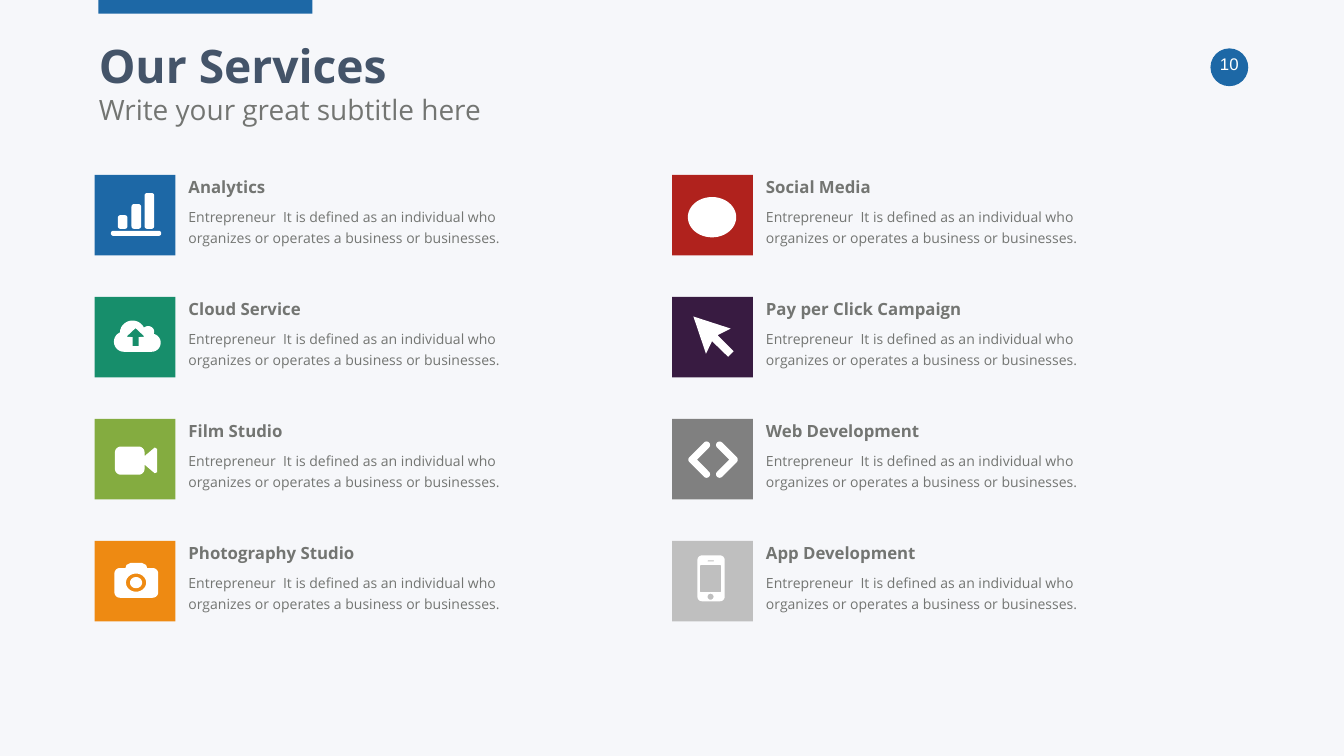
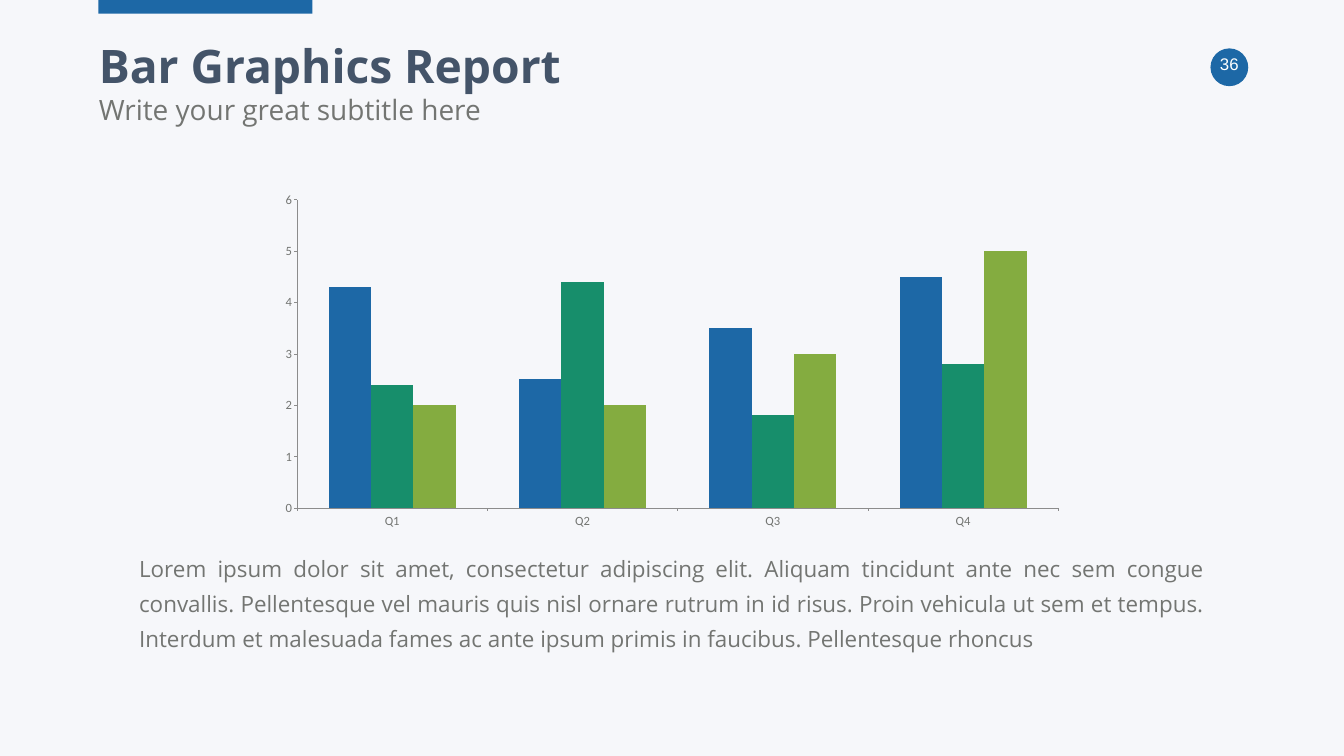
from math import cos, radians, sin

from lxml import etree
from pptx import Presentation
from pptx.chart.data import CategoryChartData
from pptx.dml.color import RGBColor
from pptx.enum.chart import XL_CHART_TYPE, XL_TICK_MARK
from pptx.enum.shapes import MSO_SHAPE
from pptx.enum.text import MSO_ANCHOR, MSO_AUTO_SIZE, PP_ALIGN
from pptx.util import Inches, Pt

COLUMN_CLUSTERED = XL_CHART_TYPE.COLUMN_CLUSTERED
TICK_OUTSIDE, TICK_NONE = XL_TICK_MARK.OUTSIDE, XL_TICK_MARK.NONE
RECTANGLE, OVAL = MSO_SHAPE.RECTANGLE, MSO_SHAPE.OVAL
TOP, MIDDLE = MSO_ANCHOR.TOP, MSO_ANCHOR.MIDDLE
NO_AUTOFIT = MSO_AUTO_SIZE.NONE
LEFT, CENTER, JUSTIFY = PP_ALIGN.LEFT, PP_ALIGN.CENTER, PP_ALIGN.JUSTIFY

PAPER = RGBColor(0xF6, 0xF7, 0xFA)
WHITE = RGBColor(0xFF, 0xFF, 0xFF)
NAVY = RGBColor(0x44, 0x54, 0x69)
TEXT_GRAY = RGBColor(0x73, 0x75, 0x72)
AXIS_GRAY = RGBColor(0x8C, 0x8C, 0x8C)
BLUE = RGBColor(0x1D, 0x68, 0xA6)
TEAL = RGBColor(0x17, 0x8E, 0x6B)
GREEN = RGBColor(0x84, 0xAC, 0x40)
ORANGE = RGBColor(0xEE, 0x8A, 0x12)
RED = RGBColor(0xB0, 0x22, 0x1D)
PURPLE = RGBColor(0x38, 0x1B, 0x41)
GRAY = RGBColor(0x80, 0x80, 0x80)
SILVER = RGBColor(0xBF, 0xBF, 0xBF)

FONT = "Open Sans"
SUBTITLE = "Write your great subtitle here"
SERVICE_TEXT = (
    "Entrepreneur  It is defined as an individual who "
    "organizes or operates a business or businesses."
)
REPORT_TEXT = (
    "Lorem ipsum dolor sit amet, consectetur adipiscing elit. Aliquam tincidunt "
    "ante nec sem congue convallis. Pellentesque vel mauris quis nisl ornare rutrum "
    "in id risus. Proin vehicula ut sem et tempus. Interdum et malesuada fames ac "
    "ante ipsum primis in faucibus. Pellentesque rhoncus"
)

TILE = 1.6
FIRST_TOP, ROW_PITCH = 3.47, 2.42
COLUMN_LEFTS = (1.88, 13.34)
TEXT_OFFSET = 1.78


def arc(x, y, radius_x, radius_y, start, end, steps=12):
    angles = [radians(start + (end - start) * i / steps) for i in range(steps + 1)]
    return [(x + radius_x * cos(a), y + radius_y * sin(a)) for a in angles]


def ellipse(x, y, radius_x, radius_y):
    return arc(x, y, radius_x, radius_y, 0, 360, 48)


def round_box(x, y, width, height, radius):
    near_x, far_x = x + radius, x + width - radius
    near_y, far_y = y + radius, y + height - radius
    corners = ((near_x, near_y), (far_x, near_y), (far_x, far_y), (near_x, far_y))
    points = []
    for i, (corner_x, corner_y) in enumerate(corners):
        start = 180 + 90 * i
        points += arc(corner_x, corner_y, radius, radius, start, start + 90, 6)
    return points


def bars_icon():
    bars = ((0.46, 0.8), (0.73, 0.58), (0.99, 0.36))
    base = round_box(0.32, 1.11, 1, 0.1, 0.05)
    return [base] + [round_box(x, y, 0.19, 1.07 - y, 0.05) for x, y in bars]


def cloud_icon():
    cloud = (
        arc(0.58, 0.89, 0.2, 0.2, 90, 245)
        + arc(0.75, 0.71, 0.25, 0.24, 180, 335)
        + arc(1.06, 0.69, 0.12, 0.11, 230, 385)
        + arc(1.13, 0.91, 0.18, 0.18, 285, 450)
    )
    arrow = [(0.81, 0.62), (0.99, 0.79), (0.87, 0.8), (0.87, 0.98),
             (0.75, 0.98), (0.75, 0.8), (0.63, 0.79)]
    return [cloud, arrow]


def video_icon():
    lens = [(0.99, 0.74), (1.19, 0.57), (1.24, 0.6),
            (1.24, 1.06), (1.19, 1.08), (0.99, 0.91)]
    return [round_box(0.4, 0.55, 0.59, 0.56, 0.12), lens]


def camera_icon():
    hump = [(0.61, 0.54), (0.63, 0.48), (0.71, 0.44),
            (0.94, 0.44), (1.02, 0.48), (1.04, 0.54)]
    return [
        round_box(0.39, 0.54, 0.87, 0.59, 0.11),
        hump,
        ellipse(0.82, 0.83, 0.2, 0.18),
        ellipse(0.82, 0.83, 0.12, 0.11),
    ]


def social_icon():
    return [ellipse(0.79, 0.84, 0.48, 0.4)]


def pointer_icon():
    return [[(1.22, 1.08), (0.9, 0.76), (1.16, 0.63), (0.42, 0.39),
             (0.67, 1.13), (0.79, 0.88), (1.11, 1.19)]]


def code_icon():
    right = (
        arc(0.94, 0.52, 0.07, 0.07, 135, 315)
        + arc(1.23, 0.81, 0.07, 0.07, -45, 45)
        + arc(0.94, 1.1, 0.07, 0.07, 45, 225)
        + [(1.13, 0.81)]
    )
    left = [(2 * 0.81 - x, y) for x, y in right]
    return [right, left]


def phone_icon():
    return [
        round_box(0.5, 0.29, 0.54, 0.91, 0.09),
        round_box(0.55, 0.48, 0.42, 0.54, 0.02),
        round_box(0.7, 0.39, 0.13, 0.02, 0.01),
        ellipse(0.76, 1.11, 0.06, 0.06),
    ]


SERVICES = (
    ("Analytics", BLUE, bars_icon),
    ("Cloud Service", TEAL, cloud_icon),
    ("Film Studio", GREEN, video_icon),
    ("Photography Studio", ORANGE, camera_icon),
    ("Social Media", RED, social_icon),
    ("Pay per Click Campaign", PURPLE, pointer_icon),
    ("Web Development", GRAY, code_icon),
    ("App Development", SILVER, phone_icon),
)


def paint(shape, colour):
    shape.shadow.inherit = False
    shape.fill.solid()
    shape.fill.fore_color.rgb = colour
    shape.line.fill.background()


def add_block(page, kind, left, top, width, height, colour):
    block = page.shapes.add_shape(
        kind, Inches(left), Inches(top), Inches(width), Inches(height))
    paint(block, colour)


def add_icon(page, left, top, outlines):
    placed = [[(Inches(left + x), Inches(top + y)) for x, y in outline]
              for outline in outlines]
    builder = page.shapes.build_freeform(*placed[0][0])
    builder.add_line_segments(placed[0][1:])
    for outline in placed[1:]:
        builder.move_to(*outline[0])
        builder.add_line_segments(outline[1:])
    paint(builder.convert_to_shape(), WHITE)


def write(box, text, size, colour=TEXT_GRAY, bold=False, font=FONT, align=LEFT,
          spacing=1.0, anchor=TOP, insets=(0.08, 0)):
    frame = box.text_frame
    frame.text = text
    frame.word_wrap = True
    frame.auto_size = NO_AUTOFIT
    frame.vertical_anchor = anchor
    frame.margin_left = frame.margin_right = Inches(insets[0])
    frame.margin_top = frame.margin_bottom = Inches(insets[1])
    para = frame.paragraphs[0]
    para.alignment = align
    para.line_spacing = spacing
    para.space_before = Pt(0)
    span = para.runs[0]
    span.font.name = font
    span.font.size = Pt(size)
    span.font.bold = bold
    span.font.color.rgb = colour


def place(box, left, top, width, height):
    box.left, box.top = Inches(left), Inches(top)
    box.width, box.height = Inches(width), Inches(height)


def add_text(page, left, top, width, height, text, size, **style):
    box = page.shapes.add_textbox(
        Inches(left), Inches(top), Inches(width), Inches(height))
    write(box, text, size, **style)


def add_page(deck, title, number):
    page = deck.slides.add_slide(deck.slide_layouts[0])
    heading, subtitle = page.shapes.title, page.placeholders[1]
    place(heading, 1.88, 0.74, 22.9, 1.24)
    write(heading, title, 66, colour=NAVY, bold=True)
    place(subtitle, 1.88, 1.84, 22.9, 0.93)
    write(subtitle, SUBTITLE, 40)
    add_block(page, OVAL, 24.02, 0.96, 0.75, 0.75, BLUE)
    add_text(page, 23.81, 1.02, 1.17, 0.8, str(number), 24, colour=WHITE,
             font="Arial", align=CENTER, insets=(0.1, 0.05))
    add_block(page, RECTANGLE, 1.95, 0, 4.25, 0.27, BLUE)
    return page


def add_service(page, left, top, name, colour, icon):
    add_block(page, RECTANGLE, left, top, TILE, TILE, colour)
    text_left = left + TEXT_OFFSET
    add_text(page, text_left, top + 0.56, 6.84, 0.94, SERVICE_TEXT, 20, spacing=1.3)
    add_text(page, text_left, top - 0.08, 6.84, 0.62, name, 24, bold=True, spacing=1.3)
    add_icon(page, left, top, icon())


def style_axis(axis, tick):
    axis.has_major_gridlines = False
    axis.major_tick_mark = tick
    axis.minor_tick_mark = TICK_NONE
    axis.format.line.color.rgb = AXIS_GRAY
    axis.format.line.width = Pt(0.75)


def add_quarter_chart(page):
    data = CategoryChartData()
    data.categories = ["Q1", "Q2", "Q3", "Q4"]
    data.add_series("Series 1", (4.3, 2.5, 3.5, 4.5))
    data.add_series("Series 2", (2.4, 4.4, 1.8, 2.8))
    data.add_series("Series 3", (2, 2, 3, 5))
    chart = page.shapes.add_chart(
        COLUMN_CLUSTERED, Inches(5.35), Inches(3.67),
        Inches(15.97), Inches(6.95), data).chart
    chart.has_legend = False
    chart.has_title = False
    chart.font.name = "Calibri"
    chart.font.size = Pt(18)
    chart.font.color.rgb = TEXT_GRAY
    style_axis(chart.category_axis, TICK_OUTSIDE)
    style_axis(chart.value_axis, TICK_OUTSIDE)
    chart.value_axis.minimum_scale = 0
    chart.value_axis.maximum_scale = 6
    chart.value_axis.major_unit = 1
    plot = chart.plots[0]
    plot.gap_width = 150
    plot.overlap = 0
    plot.vary_by_categories = False
    for series, colour in zip(plot.series, (BLUE, TEAL, GREEN)):
        series.format.fill.solid()
        series.format.fill.fore_color.rgb = colour


def main():
    deck = Presentation()
    deck.slide_width, deck.slide_height = Inches(26.67), Inches(15)
    background = deck.slide_master.background.fill
    background.solid()
    background.fore_color.rgb = PAPER

    services = add_page(deck, "Our Services", 10)
    for i, service in enumerate(SERVICES):
        column, row = divmod(i, 4)
        add_service(services, COLUMN_LEFTS[column], FIRST_TOP + row * ROW_PITCH, *service)

    report = add_page(deck, "Bar Graphics Report", 36)
    add_quarter_chart(report)
    add_text(report, 2.46, 10.7, 21.75, 2.38, REPORT_TEXT, 32, align=JUSTIFY,
             spacing=1.3, anchor=MIDDLE, insets=(0.3, 0.15))
    deck.save("out.pptx")


if __name__ == "__main__":
    main()
